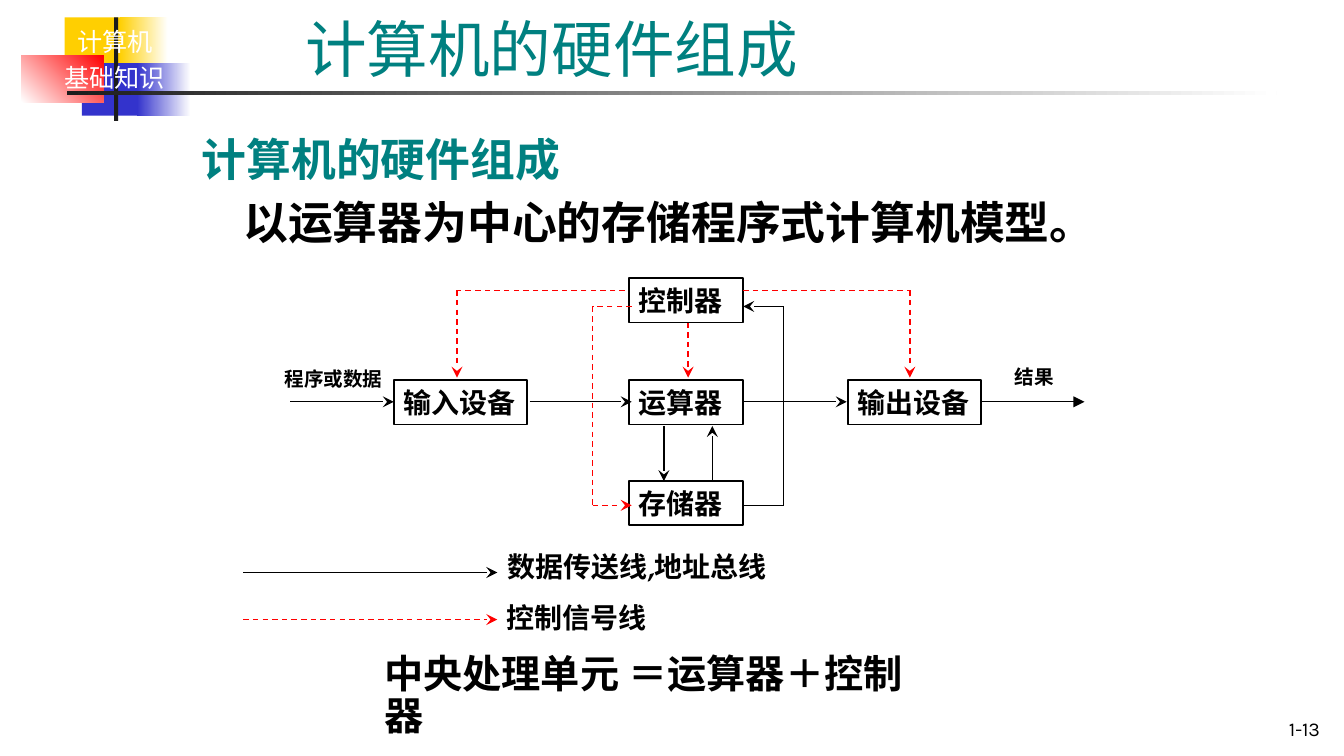
"""Build the slide on the hardware composition of a computer."""
import pptx
import pptx.util
import pptx.dml.color
import pptx.enum.dml
import pptx.enum.shapes
import pptx.enum.text
import pptx.oxml
import pptx.oxml.ns
import lxml.etree

Inches = pptx.util.Inches
Pt = pptx.util.Pt
RGBColor = pptx.dml.color.RGBColor
ALIGN = pptx.enum.text.PP_ALIGN
ANCHOR = pptx.enum.text.MSO_ANCHOR
qn = pptx.oxml.ns.qn

BLACK = RGBColor(0, 0, 0)
WHITE = RGBColor(255, 255, 255)
TEAL = RGBColor(0x00, 0x80, 0x80)
RED = RGBColor(255, 0, 0)
YELLOW = RGBColor(0xFF, 0xCF, 0x01)
BLUE = RGBColor(0x33, 0x33, 0xCC)
CHARCOAL = RGBColor(0x1C, 0x1C, 0x1C)
SANS, LATIN, SERIF = "Noto Sans CJK SC", "Karla", "TeX Gyre Pagella"

TITLE = "计算机的硬件组成"
BODY = [("计算机的硬件组成", TEAL, 0), ("以运算器为中心的存储程序式计算机模型。", BLACK, 0.31)]
CHAPTER = ["计算机", "基础知识"]
PAGE = "1-13"
SUMMARY = "中央处理单元 ＝运算器＋控制器"

EMBLEM = [
    ((0.48, 0.13, 0.48, 0.39), YELLOW, None, 0),
    ((0.89, 0.13, 0.36, 0.39), YELLOW, WHITE, 0),
    ((0.61, 0.47, 0.46, 0.39), BLUE, None, 0),
    ((1.02, 0.47, 0.4, 0.39), BLUE, WHITE, 0),
    ((0.16, 0.41, 0.61, 0.35), WHITE, RED, 45),
    ((0.85, 0.13, 0.03, 0.77), CHARCOAL, None, 0),
    ((0.5, 0.68, 9, 0.03), CHARCOAL, WHITE, 0),
]
UNIT_HEIGHT = 0.33
UNITS = [
    ("存储器", 4.68, 3.58, 0.85),
    ("输入设备", 2.93, 2.83, 0.99),
    ("输出设备", 6.31, 2.83, 0.99),
    ("运算器", 4.68, 2.83, 0.85),
    ("控制器", 4.68, 2.07, 0.85),
]
LABELS = [
    ("结果", (7.48, 2.68, 0.44, 0.25), 10.5, SANS),
    ("程序或数据", (2.05, 2.69, 0.89, 0.25), 10.5, SANS),
    ("数据传送线,地址总线", (3.71, 4.05, 2.64, 0.33), 15, SERIF),
    ("控制信号线", (3.7, 4.43, 2.53, 0.33), 15, SERIF),
]
DATA_ROUTES = [
    ([(3.94, 2.99), (4.7, 2.99)], "stealth"),
    ([(5.53, 2.99), (6.3, 2.99)], "stealth"),
    ([(2.16, 2.99), (2.93, 2.99)], "stealth"),
    ([(7.3, 2.99), (8.07, 2.99)], "triangle"),
    ([(4.94, 3.17), (4.94, 3.58)], "stealth"),
    ([(5.3, 3.58), (5.3, 3.17)], "stealth"),
    ([(5.53, 3.76), (5.83, 3.76), (5.83, 2.28), (5.53, 2.28)], "stealth"),
    ([(1.81, 4.26), (3.7, 4.26)], "stealth"),
]
CONTROL_ROUTES = [
    ([(5.12, 2.4), (5.12, 2.81)], "stealth"),
    ([(4.7, 2.28), (4.41, 2.28), (4.41, 3.76), (4.7, 3.76)], "stealth"),
    ([(5.53, 2.16), (6.77, 2.16), (6.77, 2.81)], "stealth"),
    ([(4.65, 2.16), (3.4, 2.16), (3.4, 2.81)], "stealth"),
    ([(1.81, 4.61), (3.7, 4.61)], "stealth"),
]


def place(holder, box):
    holder.left, holder.top, holder.width, holder.height = map(Inches, box)


def write(holder, lines, size, font=SANS, color=BLACK, bold=False, align=ALIGN.LEFT,
          anchor=ANCHOR.TOP, wrap=True, insets=(0.1, 0.05, 0.1, 0.05), spacing=None, before=0):
    """Fill a text frame; each line is a string or (text, colour, indent)."""
    frame = holder.text_frame
    frame.word_wrap = wrap
    frame.auto_size = pptx.enum.text.MSO_AUTO_SIZE.NONE
    frame.vertical_anchor = anchor
    (frame.margin_left, frame.margin_top,
     frame.margin_right, frame.margin_bottom) = map(Inches, insets)
    for index, line in enumerate(lines):
        text, tint, indent = (line, color, 0) if isinstance(line, str) else line
        paragraph = frame.add_paragraph() if index else frame.paragraphs[0]
        paragraph.alignment = align
        paragraph.space_before = Pt(before)
        if spacing:
            paragraph.line_spacing = spacing
        properties = paragraph._p.get_or_add_pPr()
        properties.set("marL", str(Inches(indent)))
        properties.set("indent", "0")
        lxml.etree.SubElement(properties, qn("a:buNone"))
        run = paragraph.add_run()
        run.text = text
        run.font.size = Pt(size)
        run.font.bold = bold
        run.font.color.rgb = tint
        run.font.name = font
        east_asian = lxml.etree.SubElement(run._r.get_or_add_rPr(), qn("a:ea"))
        east_asian.set("typeface", SANS if font == SERIF else font)


def add_rectangle(box):
    rectangle = slide.shapes.add_shape(pptx.enum.shapes.MSO_SHAPE.RECTANGLE, *map(Inches, box))
    rectangle.shadow.inherit = False
    return rectangle


def add_text(lines, box, size, **style):
    write(slide.shapes.add_textbox(*map(Inches, box)), lines, size, **style)


def add_route(points, arrow, color, dashed):
    for number, (start, end) in enumerate(zip(points, points[1:]), 1):
        wire = slide.shapes.add_connector(
            pptx.enum.shapes.MSO_CONNECTOR.STRAIGHT, *map(Inches, start + end))
        wire.line.color.rgb = color
        wire.line.width = Pt(0.75)
        if dashed:
            wire.line.dash_style = pptx.enum.dml.MSO_LINE.DASH
        if number == len(points) - 1:
            tail = lxml.etree.SubElement(wire.line._get_or_add_ln(), qn("a:tailEnd"))
            tail.set("type", arrow)
        lxml.etree.SubElement(wire._element.spPr, qn("a:effectLst"))


deck = pptx.Presentation()
deck.slide_width = Inches(10)
deck.slide_height = deck.slide_width * 9 // 16
slide = deck.slides.add_slide(deck.slide_layouts[1])

for box, first, last, angle in EMBLEM:
    block = add_rectangle(box)
    block.line.fill.background()
    if last is None:
        block.fill.solid()
        block.fill.fore_color.rgb = first
    else:
        block.fill.gradient()
        block.fill.gradient_angle = angle
        for stop, color, position in zip(block.fill.gradient_stops, (first, last), (0, 1)):
            stop.color.rgb = color
            stop.position = position
add_text(CHAPTER, (0.27, 0.15, 1.17, 0.6), 13.5, font=LATIN, color=WHITE,
         align=ALIGN.CENTER, before=2.7)
add_text([PAGE], (9, 5.31, 0.92, 0.25), 10.5, font=LATIN, align=ALIGN.RIGHT, anchor=ANCHOR.BOTTOM)

title, body = slide.placeholders
place(title, (2.17, 0.06, 6.16, 0.62))
write(title, [TITLE], 33, color=TEAL, anchor=ANCHOR.BOTTOM)
place(body, (1.4, 0.93, 7.19, 0.99))
write(body, BODY, 24, bold=True, spacing=1.0, before=4.8)

SNUG = dict(bold=True, anchor=ANCHOR.MIDDLE, insets=(0.07, 0.04, 0.07, 0.04))
for name, left, top, width in UNITS:
    unit = add_rectangle((left, top, width, UNIT_HEIGHT))
    unit.fill.background()
    unit.line.color.rgb = BLACK
    unit.line.width = Pt(1)
    write(unit, [name], 15, wrap=False, **SNUG)
for label, box, size, font in LABELS:
    add_text([label], box, size, font=font, wrap=False, **SNUG)
for routes, color, dashed in ((DATA_ROUTES, BLACK, False), (CONTROL_ROUTES, RED, True)):
    for points, arrow in routes:
        add_route(points, arrow, color, dashed)
add_text([SUMMARY], (2.76, 4.82, 4.06, 0.74), 21, bold=True, spacing=0.9, before=4.2)

deck.save("out.pptx")
